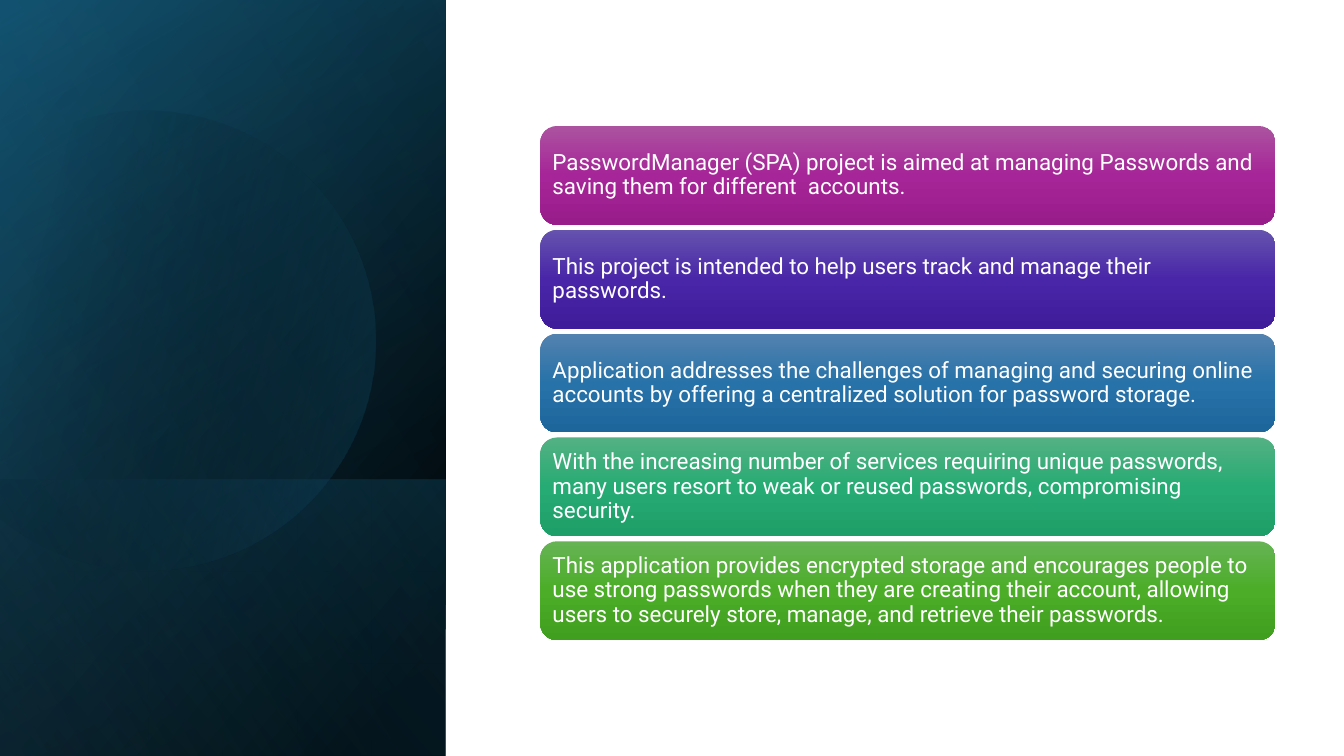
from itertools import pairwise
from math import cos, radians, sin, tan

from lxml.etree import SubElement
from pptx import Presentation
from pptx.dml.color import RGBColor
from pptx.enum.shapes import MSO_SHAPE as Shape
from pptx.enum.text import MSO_ANCHOR as Anchor, PP_ALIGN as Align
from pptx.oxml.ns import qn
from pptx.util import Inches, Pt

BLACK = RGBColor(0x00, 0x00, 0x00)
WHITE = RGBColor(0xFF, 0xFF, 0xFF)
NAVY = RGBColor(0x10, 0x48, 0x62)
TEAL = RGBColor(0x15, 0x60, 0x82)
SKY = RGBColor(0x46, 0xB1, 0xE1)
PURPLE = (RGBColor(0xAC, 0x53, 0xA0), RGBColor(0xA6, 0x25, 0x98), RGBColor(0x99, 0x1C, 0x8B))
INDIGO = (RGBColor(0x65, 0x53, 0xAE), RGBColor(0x49, 0x26, 0xA8), RGBColor(0x3E, 0x1C, 0x9A))
BLUE = (RGBColor(0x53, 0x82, 0xAF), RGBColor(0x27, 0x72, 0xA9), RGBColor(0x1D, 0x66, 0x9C))
JADE = (RGBColor(0x54, 0xB1, 0x83), RGBColor(0x27, 0xAB, 0x74), RGBColor(0x1E, 0x9E, 0x68))
GREEN = (RGBColor(0x66, 0xB3, 0x54), RGBColor(0x4B, 0xAD, 0x28), RGBColor(0x40, 0x9F, 0x1E))

WIDE, HIGH, SIDE = 13.33, 7.5, 4.42
PANELS = [
    (HIGH, 50, [(8, BLACK, 100), (100, NAVY, 100)]),
    (HIGH, 30, [(0, BLACK, 0), (99, TEAL, 46)]),
    (2.74, 130, [(2, TEAL, 29), (100, BLACK, 30)]),
]
TURNS = (-118, -90, 0, 90, 150)
DISC = [(29, BLACK, 0), (100, TEAL, 43)]
GLOW = (HIGH, 120, [(0, BLACK, 0), (99, SKY, 11)])
CARDS = [
    (PURPLE, "PasswordManager (SPA) project is aimed at managing Passwords and "
             "saving them for different  accounts."),
    (INDIGO, "This project is intended to help users track and manage their passwords."),
    (BLUE, "Application addresses the challenges of managing and securing online "
           "accounts by offering a centralized solution for password storage."),
    (JADE, "With the increasing number of services requiring unique passwords, "
           "many users resort to weak or reused passwords, compromising security."),
    (GREEN, "This application provides encrypted storage and encourages people to "
            "use strong passwords when they are creating their account, allowing "
            "users to securely store, manage, and retrieve their passwords."),
]
FRAME = {
    "word_wrap": True, "vertical_anchor": Anchor.MIDDLE,
    "margin_left": Inches(0.07), "margin_right": Inches(0.07),
    "margin_top": Inches(0.07), "margin_bottom": Inches(0.07),
}
PARA = {"alignment": Align.LEFT, "line_spacing": 0.9}
FONT = {"name": "Roboto", "size": Pt(16)}


def apply(item, style):
    """Set each attribute named in a style on the item."""
    for name, value in style.items():
        setattr(item, name, value)


def shade(shape, angle, stops):
    """Give a shape a linear gradient with no line or shadow."""
    shape.shadow.inherit = False
    shape.line.fill.background()
    shape.fill.background()
    props = shape._element.spPr
    grad = props.makeelement(qn("a:gradFill"), {"rotWithShape": "1"})
    props.replace(props.find(qn("a:noFill")), grad)
    group = SubElement(grad, qn("a:gsLst"))
    for place, color, alpha in stops:
        stop = SubElement(group, qn("a:gs"), pos=str(place * 1000))
        tint = SubElement(stop, qn("a:srgbClr"), val=str(color))
        if alpha < 100:
            SubElement(tint, qn("a:alpha"), val=str(alpha * 1000))
    SubElement(grad, qn("a:lin"), ang=str(angle * 60000), scaled="0")


def panel(slide, size, angle, stops):
    """Add a turned, mirrored panel that rises from the slide's foot."""
    left, top = (SIDE - size) / 2, HIGH - (size + SIDE) / 2
    shape = slide.shapes.add_shape(
        Shape.RECTANGLE, Inches(left), Inches(top), Inches(size), Inches(SIDE))
    shape.rotation = 90
    shape._element.spPr.find(qn("a:xfrm")).set("flipH", "1")
    shade(shape, angle, stops)


def bend(shape):
    """Join each three line steps of an outline into one curve."""
    steps = list(shape._element.iter(qn("a:lnTo")))
    for i in range(0, len(steps), 3):
        curve = steps[i].makeelement(qn("a:cubicBezTo"))
        steps[i].addprevious(curve)
        for step in steps[i:i + 3]:
            curve.append(step[0])
            step.getparent().remove(step)


def disc(slide, mid_x, mid_y, radius, stops):
    """Add a tilted circle cut off by a straight edge on its left."""
    def spot(turn, pull=0):
        """Give a point on the circle, moved along its tangent."""
        x, y = cos(turn), sin(turn)
        return (Inches(mid_x + radius * (x - pull * y)),
                Inches(mid_y + radius * (y + pull * x)))

    turns = [radians(turn) for turn in TURNS]
    points = []
    for start, end in pairwise(turns):
        pull = 4 / 3 * tan((end - start) / 4)
        points += [spot(start, pull), spot(end, -pull), spot(end)]
    build = slide.shapes.build_freeform(*spot(turns[0]))
    build.add_line_segments(points, close=True)
    shape = build.convert_to_shape()
    bend(shape)
    shape.rotation = 343.9
    shade(shape, 30, stops)


def card(slide, top, colors, text):
    """Add a rounded card with its statement."""
    shape = slide.shapes.add_shape(
        Shape.ROUNDED_RECTANGLE, Inches(5.36), Inches(top), Inches(7.29), Inches(0.98))
    shade(shape, 90, [(50 * i, color, 100) for i, color in enumerate(colors)])
    box = slide.shapes.add_textbox(
        Inches(5.41), Inches(top + 0.05), Inches(7.2), Inches(0.88))
    frame = box.text_frame
    apply(frame, FRAME)
    para = frame.paragraphs[0]
    apply(para, PARA)
    run = para.add_run()
    run.text = text
    apply(run.font, FONT)
    run.font.color.rgb = WHITE


def main():
    """Build the slide and save it."""
    deck = Presentation()
    deck.slide_width, deck.slide_height = Inches(WIDE), Inches(HIGH)
    slide = deck.slides.add_slide(deck.slide_layouts[6])
    for item in PANELS:
        panel(slide, *item)
    disc(slide, 1.44, 3.34, 2.28, DISC)
    panel(slide, *GLOW)
    for i, (colors, text) in enumerate(CARDS):
        card(slide, 1.25 + 1.03 * i, colors, text)
    deck.save("out.pptx")


if __name__ == "__main__":
    main()
